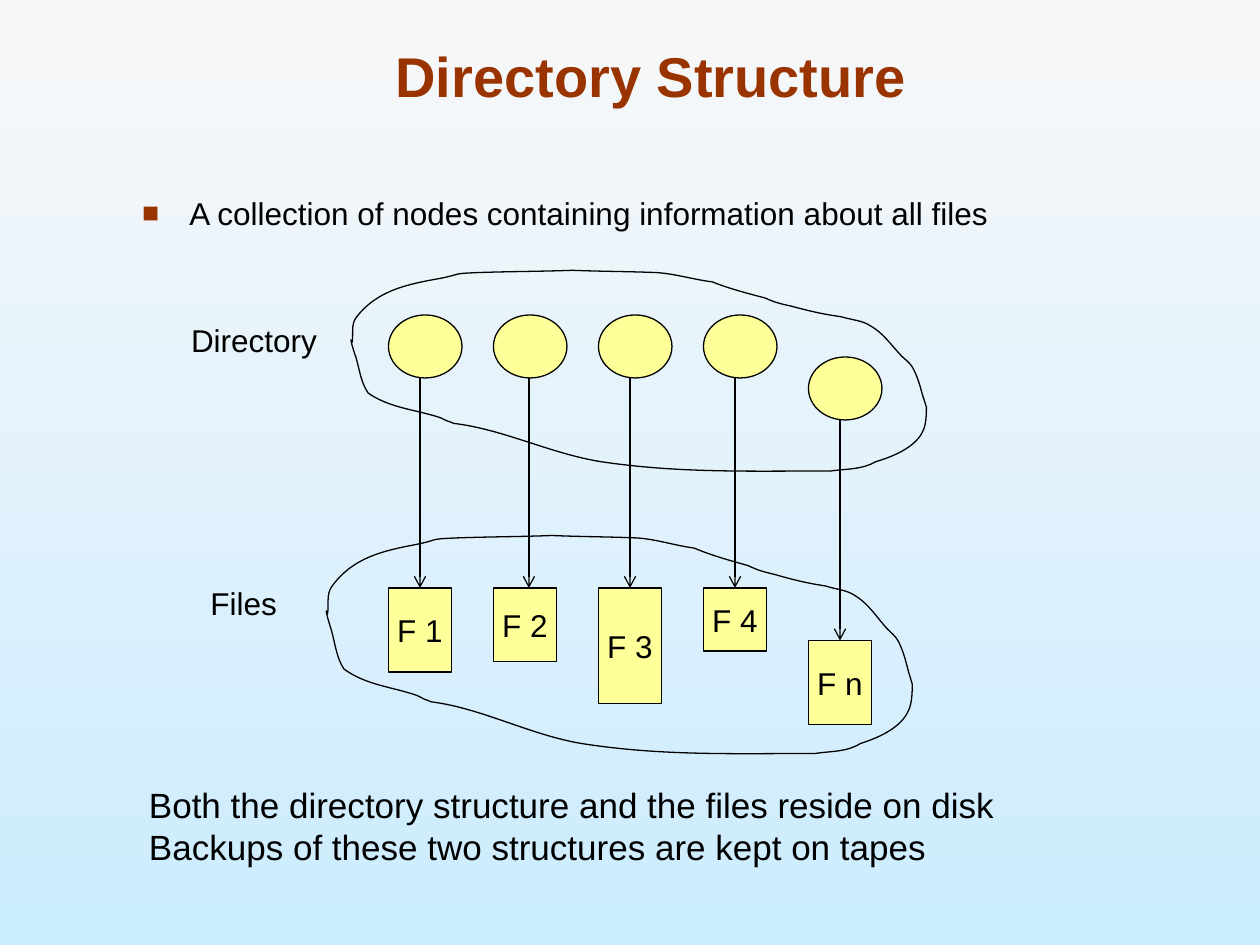
from dataclasses import dataclass

from lxml.etree import SubElement
from pptx import Presentation
from pptx.dml.color import RGBColor
from pptx.enum.shapes import MSO_CONNECTOR as Connector, MSO_SHAPE as Preset
from pptx.enum.text import MSO_ANCHOR as Anchor, PP_ALIGN as Align
from pptx.oxml.ns import qn
from pptx.util import Pt

COLORS = {
    "rust": "993300",
    "black": "000000",
    "yellow": "FFFF99",
    "sky_top": "F8F8F8",
    "sky_bottom": "CCECFF",
}
FONT = "Arial"
LINE_WIDTH = Pt(0.75)


@dataclass
class FileColumn:
    label: str
    node_top: float
    file_top: float
    file_height: float
    arrow_offset: float = 18


COLUMNS = [
    FileColumn("F 1", 180, 336, 48),
    FileColumn("F 2", 180, 336, 42, 20.25),
    FileColumn("F 3", 180, 336, 66),
    FileColumn("F 4", 180, 336, 36),
    FileColumn("F n", 204, 366, 48),
]
FIRST_LEFT, COLUMN_STEP = 222, 60
NODE_WIDTH, NODE_HEIGHT, FILE_WIDTH = 42, 36, 36

# Hand-drawn loop: start point, then cubic curves (control, control, end)
LOOP_SIZE = (466, 175)
LOOP_START = (2, 62)
LOOP_CURVES = [
    ((3, 55), (1, 47), (5, 41)),
    ((22, 17), (47, 12), (73, 7)),
    ((92, 3), (81, 3), (103, 2)),
    ((129, 1), (155, 1), (180, 0)),
    ((203, 1), (226, 1), (248, 2)),
    ((263, 3), (278, 8), (293, 10)),
    ((307, 16), (322, 20), (336, 24)),
    ((344, 28), (349, 29), (357, 31)),
    ((371, 35), (383, 38), (397, 40)),
    ((406, 43), (414, 43), (421, 48)),
    ((431, 54), (438, 65), (446, 74)),
    ((449, 77), (453, 80), (455, 84)),
    ((459, 92), (461, 100), (463, 108)),
    ((464, 111), (466, 118), (466, 118)),
    ((466, 123), (466, 133), (463, 139)),
    ((457, 153), (438, 161), (425, 165)),
    ((414, 172), (402, 171), (389, 173)),
    ((324, 173), (266, 175), (203, 165)),
    ((162, 158), (124, 137), (84, 132)),
    ((83, 131), (81, 131), (79, 130)),
    ((77, 129), (75, 128), (73, 127)),
    ((53, 120), (33, 119), (15, 106)),
    ((9, 97), (8, 86), (5, 75)),
    ((5, 75), (1, 63), (1, 60)),
    ((0, 59), (2, 61), (2, 62)),
]


def rgb(name: str) -> RGBColor:
    return RGBColor.from_string(COLORS[name])


def write_text(shape, text: str, *, size: float = 18, color: str = "black",
               bold: bool = False, align=Align.LEFT, anchor=Anchor.TOP,
               wrap: bool = True, spacing: float = 1.0, bullet: str = "") -> None:
    frame = shape.text_frame
    frame.word_wrap = wrap
    frame.vertical_anchor = anchor
    for index, line in enumerate(text.split("\n")):
        para = frame.add_paragraph() if index else frame.paragraphs[0]
        para.alignment = align
        para.line_spacing = spacing
        if bullet:
            add_bullet(para, bullet)
        span = para.add_run()
        span.text = line
        span.font.name = FONT
        span.font.size = Pt(size)
        span.font.bold = bold
        span.font.color.rgb = rgb(color)


def add_bullet(para, symbol: str) -> None:
    properties = para._p.get_or_add_pPr()
    properties.set("marL", str(Pt(27)))
    properties.set("indent", str(-Pt(27)))
    color = SubElement(properties, qn("a:buClr"))
    SubElement(color, qn("a:srgbClr"), val=COLORS["rust"])
    SubElement(properties, qn("a:buSzPct"), val="90000")
    SubElement(properties, qn("a:buFont"), typeface=FONT)
    SubElement(properties, qn("a:buChar"), char=symbol)


def add_text(page, left: float, top: float, width: float, height: float,
             text: str, **text_format) -> None:
    box = page.shapes.add_textbox(Pt(left), Pt(top), Pt(width), Pt(height))
    write_text(box, text, **text_format)


def set_outline(shape) -> None:
    shape.line.color.rgb = rgb("black")
    shape.line.width = LINE_WIDTH


def add_yellow_shape(page, preset, left: float, top: float, width: float, height: float):
    shape = page.shapes.add_shape(preset, Pt(left), Pt(top), Pt(width), Pt(height))
    shape.shadow.inherit = False
    shape.fill.solid()
    shape.fill.fore_color.rgb = rgb("yellow")
    set_outline(shape)
    return shape


def add_arrow(page, x: float, top: float, bottom: float) -> None:
    arrow = page.shapes.add_connector(Connector.STRAIGHT, Pt(x), Pt(top), Pt(x), Pt(bottom))
    set_outline(arrow)
    SubElement(arrow.line._get_or_add_ln(), qn("a:tailEnd"), type="arrow")
    SubElement(arrow._element.spPr, qn("a:effectLst"))


def bend_segments(shape) -> None:
    """Turn each three straight segments into one cubic curve."""
    segments = list(shape._element.iter(qn("a:lnTo")))
    for index in range(0, len(segments), 3):
        first, second, last = segments[index:index + 3]
        curve = first.makeelement(qn("a:cubicBezTo"))
        first.addprevious(curve)
        for segment in (first, second, last):
            curve.append(segment[0])
            segment.getparent().remove(segment)


def add_loop(page, left: float, top: float, width: float, height: float) -> None:
    scale = tuple(Pt(length) / units for length, units in zip((width, height), LOOP_SIZE))
    builder = page.shapes.build_freeform(*LOOP_START, scale)
    builder.add_line_segments([point for curve in LOOP_CURVES for point in curve], close=True)
    loop = builder.convert_to_shape(Pt(left), Pt(top))
    bend_segments(loop)
    loop.shadow.inherit = False
    loop.fill.background()
    set_outline(loop)


def main() -> None:
    deck = Presentation()
    deck.slide_width, deck.slide_height = Pt(720), Pt(540)
    page = deck.slides.add_slide(deck.slide_layouts[6])

    # Background gradient, top to bottom
    backdrop = page.background.fill
    backdrop.gradient()
    backdrop.gradient_angle = 270
    for stop, name in zip(backdrop.gradient_stops, ("sky_top", "sky_bottom")):
        stop.color.rgb = rgb(name)

    # Title and bullet
    add_text(page, 54, 18, 636, 47.8, "Directory Structure", size=32, color="rust",
             bold=True, align=Align.CENTER, anchor=Anchor.BOTTOM)
    add_text(page, 74.2, 109.5, 518.4, 27.4,
             "A collection of nodes containing information about all files",
             spacing=0.9, bullet="■")

    # Directory nodes and file boxes
    lefts = [FIRST_LEFT + COLUMN_STEP * index for index in range(len(COLUMNS))]
    for left, column in zip(lefts, COLUMNS):
        add_yellow_shape(page, Preset.OVAL, left, column.node_top, NODE_WIDTH, NODE_HEIGHT)
    for left, column in zip(lefts, COLUMNS):
        file_box = add_yellow_shape(page, Preset.RECTANGLE, left, column.file_top,
                                    FILE_WIDTH, column.file_height)
        write_text(file_box, column.label, align=Align.CENTER, anchor=Anchor.MIDDLE, wrap=False)

    # Arrows from each node to its file
    for left, column in zip(lefts, COLUMNS):
        add_arrow(page, left + column.arrow_offset,
                  column.node_top + NODE_HEIGHT, column.file_top)

    # Loops around the nodes and the files, with their labels
    add_loop(page, 199.9, 154.5, 329.5, 116)
    add_loop(page, 185.8, 306, 335.5, 126)
    for label, left, top, width in (("Directory", 102, 180, 86.4), ("Files", 113, 330, 52.5)):
        add_text(page, left, top, width, 29, label, align=Align.CENTER,
                 anchor=Anchor.MIDDLE, wrap=False)

    # Closing remarks
    add_text(page, 78, 444, 553.7, 30,
             "Both the directory structure and the files reside on disk\n"
             "Backups of these two structures are kept on tapes", size=20)

    deck.save("out.pptx")


if __name__ == "__main__":
    main()
